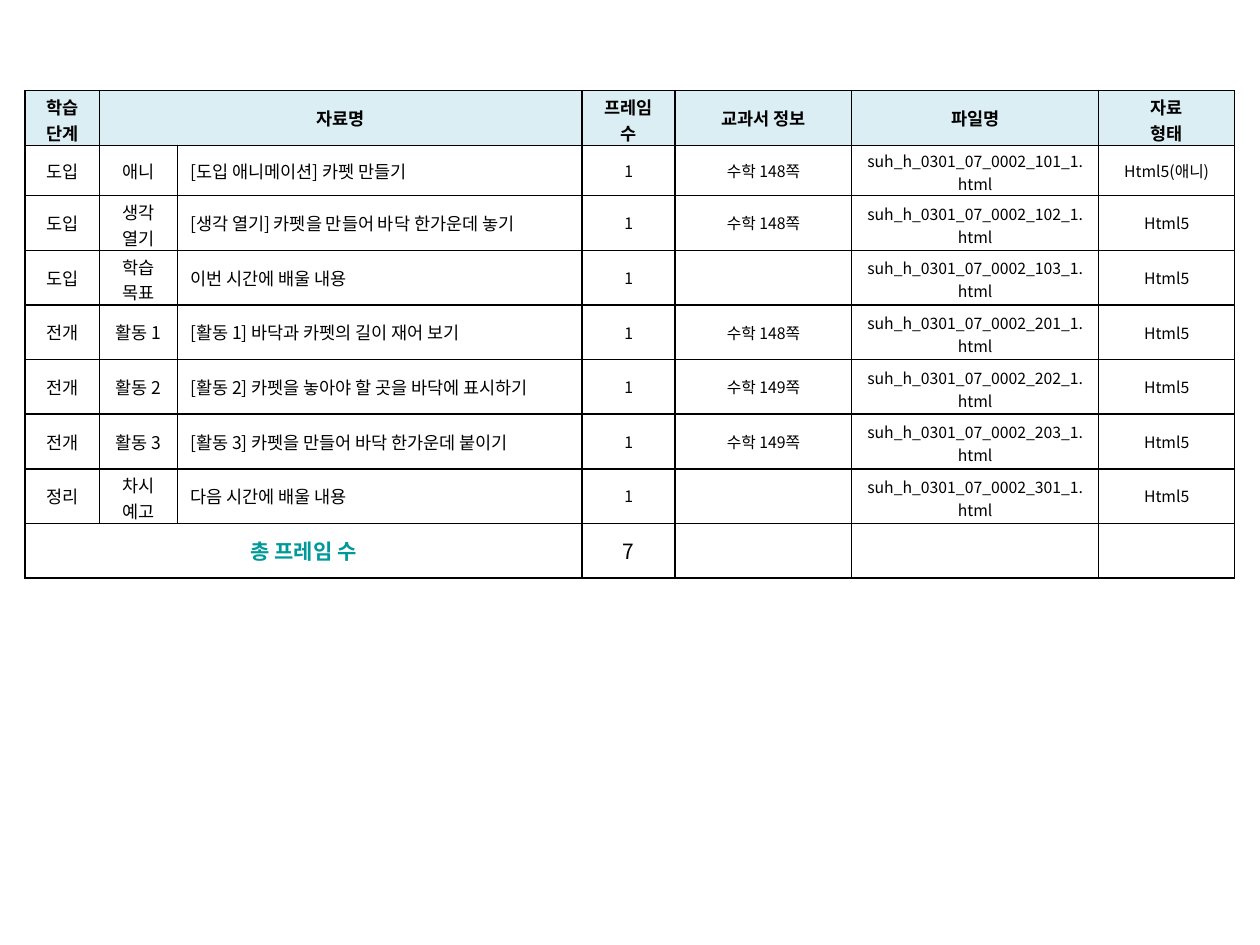
import pptx
import pptx.dml.color
import pptx.enum.text
import pptx.oxml.ns
import pptx.util
from lxml import etree

Inches = pptx.util.Inches
qn = pptx.oxml.ns.qn

# Content
FONT = "Noto Sans CJK KR"
HEADER = ["학습 단계", "자료명", "", "프레임 수", "교과서 정보", "파일명", "자료\n형태"]
# stage, part, material, textbook page, file code, material type
LESSONS = [
    ("도입", "애니", "[도입 애니메이션] 카펫 만들기", "수학 148쪽", 101, "Html5(애니)"),
    ("도입", "생각 열기", "[생각 열기] 카펫을 만들어 바닥 한가운데 놓기", "수학 148쪽", 102, "Html5"),
    ("도입", "학습 목표", "이번 시간에 배울 내용", "", 103, "Html5"),
    ("전개", "활동 1", "[활동 1] 바닥과 카펫의 길이 재어 보기", "수학 148쪽", 201, "Html5"),
    ("전개", "활동 2", "[활동 2] 카펫을 놓아야 할 곳을 바닥에 표시하기", "수학 149쪽", 202, "Html5"),
    ("전개", "활동 3", "[활동 3] 카펫을 만들어 바닥 한가운데 붙이기", "수학 149쪽", 203, "Html5"),
    ("정리", "차시 예고", "다음 시간에 배울 내용", "", 301, "Html5"),
]
TOTAL = ["총 프레임 수", "", "", str(len(LESSONS)), "", "", ""]
TWO_LINE_TEXTS = {"학습 단계", "프레임 수", "자료\n형태", "생각 열기", "학습 목표", "차시 예고"}

# Grid: the first lesson row is lower, the others share the rest equally
COLUMN_WIDTHS = [0.59, 0.62, 3.21, 0.74, 1.4, 1.96, 1.08]
TABLE_HEIGHT = 3.87
FIRST_LESSON_HEIGHT = 0.4
ROW_HEIGHT = (TABLE_HEIGHT - FIRST_LESSON_HEIGHT) / (len(LESSONS) + 1)
ROW_HEIGHTS = [ROW_HEIGHT, FIRST_LESSON_HEIGHT] + [ROW_HEIGHT] * len(LESSONS)
MATERIAL_COLUMN, FILE_COLUMN = 2, 5

# Text formats
HEADER_FORMAT = {"size": 10, "bold": True, "color": "000000"}
NAME_FORMAT = {"size": 10, "bold": False, "color": "000000"}
DETAIL_FORMAT = {"size": 9, "bold": False, "color": "000000"}
TOTAL_LABEL_FORMAT = {"size": 12, "bold": True, "color": "009999"}
TOTAL_FORMAT = {"size": 12, "bold": False, "color": "000000"}


def rgb(value):
    return pptx.dml.color.RGBColor.from_string(value)


def write_text(cell, text, style, align):
    cell.vertical_anchor = pptx.enum.text.MSO_ANCHOR.MIDDLE
    cell.text_frame.text = text
    for paragraph in cell.text_frame.paragraphs:
        paragraph.alignment = align
        for run in paragraph.runs:
            font_values = {"name": FONT, "size": pptx.util.Pt(style["size"]), "bold": style["bold"]}
            for attribute, value in font_values.items():
                setattr(run.font, attribute, value)
            run.font.color.rgb = rgb(style["color"])
            run.font._element.set("kern", "0")
            etree.SubElement(run.font._element, qn("a:ea"), typeface=FONT)
        if not paragraph.runs:
            # Keeps an empty cell from stretching its row
            etree.SubElement(paragraph._p, qn("a:endParaRPr"), sz=str(style["size"] * 100))


def draw_borders(cell, color="000000", width=1):
    properties = cell._tc.get_or_add_tcPr()
    for position, side in enumerate(("lnL", "lnR", "lnT", "lnB")):
        line = etree.Element(qn("a:" + side), w=str(pptx.util.Pt(width)))
        fill = etree.SubElement(line, qn("a:solidFill"))
        etree.SubElement(fill, qn("a:srgbClr"), val=color)
        properties.insert(position, line)


def main():
    presentation = pptx.Presentation()
    presentation.slide_width, presentation.slide_height = Inches(10), Inches(7.5)
    slide = presentation.slides.add_slide(presentation.slide_layouts[6])

    # Rows with their text formats
    rows = [(HEADER, [HEADER_FORMAT] * 7)]
    for stage, part, material, page, code, kind in LESSONS:
        file_name = f"suh_h_0301_07_0002_{code}_1.html"
        rows.append(([stage, part, material, "1", page, file_name, kind],
                     [NAME_FORMAT] * 3 + [DETAIL_FORMAT] * 4))
    rows.append((TOTAL, [TOTAL_LABEL_FORMAT] * 3 + [TOTAL_FORMAT] * 4))

    # Table grid
    materials = slide.shapes.add_table(
        len(rows), len(COLUMN_WIDTHS), Inches(0.2), Inches(0.72),
        Inches(sum(COLUMN_WIDTHS)), Inches(TABLE_HEIGHT)).table
    materials.first_row = materials.horz_banding = False
    for column, width in zip(materials.columns, COLUMN_WIDTHS):
        column.width = Inches(width)
    for row, height in zip(materials.rows, ROW_HEIGHTS):
        row.height = Inches(height)

    # Cells
    for row_index, (texts, styles) in enumerate(rows):
        is_lesson = 0 < row_index < len(rows) - 1
        for column_index, (text, style) in enumerate(zip(texts, styles)):
            cell = materials.cell(row_index, column_index)
            left = is_lesson and column_index == MATERIAL_COLUMN
            align = pptx.enum.text.PP_ALIGN.LEFT if left else pptx.enum.text.PP_ALIGN.CENTER
            write_text(cell, text, style, align)
            if text in TWO_LINE_TEXTS or (is_lesson and column_index == FILE_COLUMN):
                # Two lines fit the row only with tighter margins
                cell.margin_top, cell.margin_bottom = Inches(0.03), Inches(0)
            if row_index == 0:
                cell.fill.solid()
                cell.fill.fore_color.rgb = rgb("DBEEF4")
            else:
                cell.fill.background()
            draw_borders(cell)

    # Spanning cells
    last = len(rows) - 1
    materials.cell(0, 1).merge(materials.cell(0, MATERIAL_COLUMN))
    materials.cell(last, 0).merge(materials.cell(last, MATERIAL_COLUMN))

    presentation.save("out.pptx")


if __name__ == "__main__":
    main()
